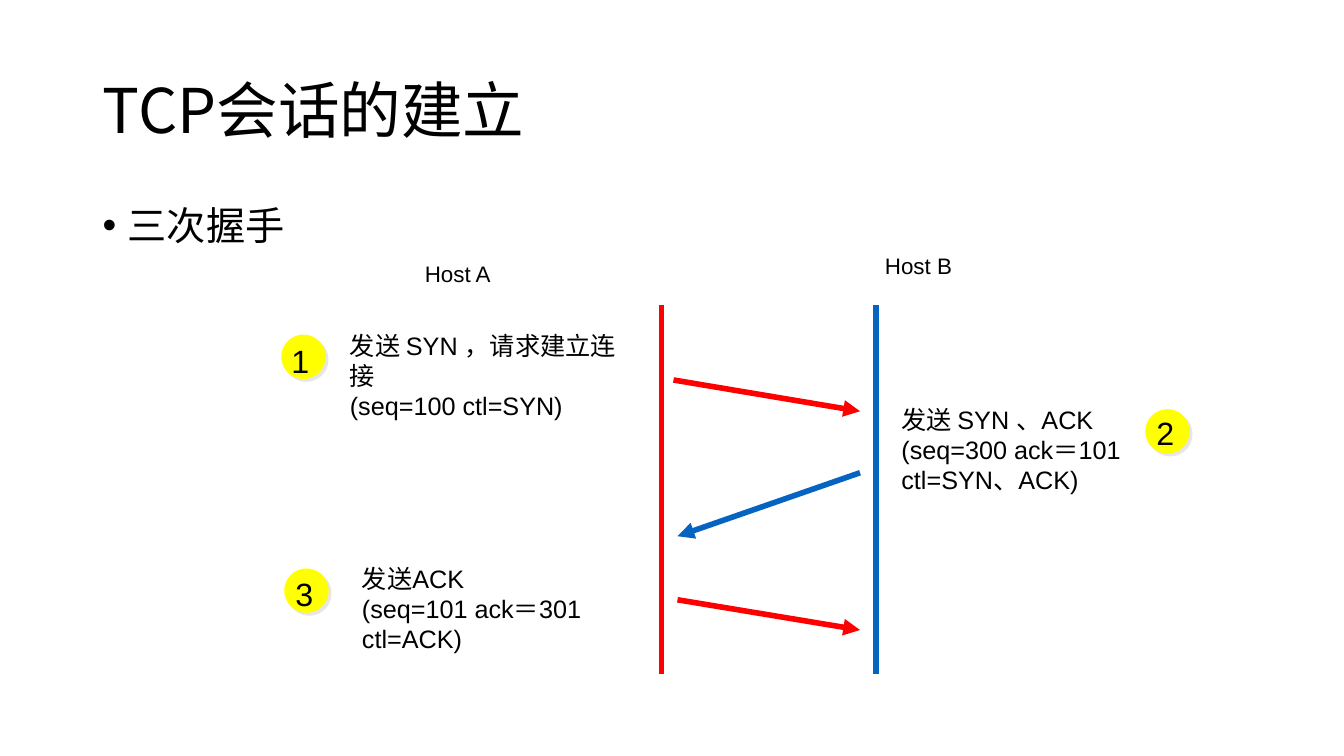
from lxml.etree import SubElement
from pptx import Presentation
from pptx.dml.color import RGBColor
from pptx.enum.shapes import MSO_CONNECTOR, MSO_SHAPE
from pptx.enum.text import MSO_ANCHOR, MSO_AUTO_SIZE, PP_ALIGN
from pptx.oxml.ns import qn
from pptx.util import Pt

PX = 9144  # 100 px to the inch
BLACK = RGBColor(0x00, 0x00, 0x00)
RED = RGBColor(0xFF, 0x00, 0x00)
BLUE = RGBColor(0x05, 0x63, 0xC1)
YELLOW = RGBColor(0xFF, 0xFF, 0x00)
SHADOW_GRAY = RGBColor(0xE7, 0xE6, 0xE6)
LATIN = "Arial"
CHINESE = "Noto Sans CJK SC"


def write_paragraph(paragraph, runs, size, **formats):
    """Fill a paragraph with (text, font name) runs and set its formats."""
    for name, value in formats.items():
        setattr(paragraph, name, value)
    for text, font_name in runs:
        run = paragraph.add_run()
        run.text = text
        run.font.size = Pt(size)
        run.font.color.rgb = BLACK
        run.font.name = font_name
        SubElement(run.font._element, qn("a:ea"), typeface=CHINESE)


def add_text_box(shapes, box, margins, wrap=False):
    """Add an empty text box and return its text frame."""
    frame = shapes.add_textbox(*(length * PX for length in box)).text_frame
    frame.word_wrap = wrap
    frame.margin_left = frame.margin_right = margins[0] * PX
    frame.margin_top = frame.margin_bottom = margins[1] * PX
    return frame


presentation = Presentation()
presentation.slide_width = 1333 * PX
presentation.slide_height = 750 * PX
slide = presentation.slides.add_slide(presentation.slide_layouts[5])
shapes = slide.shapes

# Title and bullet
title = shapes.title
title_place = {"left": 92, "top": 40, "width": 1150, "height": 145}
for name, length in title_place.items():
    setattr(title, name, length * PX)
title_format = {"vertical_anchor": MSO_ANCHOR.MIDDLE, "word_wrap": True,
                "auto_size": MSO_AUTO_SIZE.NONE}
for name, value in title_format.items():
    setattr(title.text_frame, name, value)
write_paragraph(title.text_frame.paragraphs[0], [("TCP会话的建立", CHINESE)], 44,
                alignment=PP_ALIGN.LEFT, line_spacing=0.9)

body = add_text_box(shapes, (92, 200, 1150, 476), (10, 5), wrap=True)
bullet = body.paragraphs[0]
properties = bullet._p.get_or_add_pPr()
properties.set("marL", str(25 * PX))
properties.set("indent", str(-25 * PX))
SubElement(properties, qn("a:buFont"), typeface=LATIN)
SubElement(properties, qn("a:buChar"), char="•")
write_paragraph(bullet, [("三次握手", CHINESE)], 28, line_spacing=0.9)

# Host names
for host, left, top in [("Host A", 412, 257), ("Host B", 869, 249)]:
    frame = add_text_box(shapes, (left, top, 84, 37), (2, 3))
    write_paragraph(frame.paragraphs[0], [(host, LATIN)], 16,
                    alignment=PP_ALIGN.CENTER, line_spacing=Pt(18))

# Host timelines, then the messages between them
lines = [
    ((656, 303, 656, 669), RED, False),
    ((869, 303, 869, 669), BLUE, False),
    ((668, 377, 853, 408), RED, True),
    ((853, 469, 672, 532), BLUE, True),
    ((672, 595, 853, 625), RED, True),
]
for ends, color, has_arrow in lines:
    connector = shapes.add_connector(
        MSO_CONNECTOR.STRAIGHT, *(length * PX for length in ends))
    connector.line.color.rgb = color
    connector.line.width = Pt(4)
    if has_arrow:
        SubElement(connector.line._get_or_add_ln(), qn("a:tailEnd"), type="triangle")
    SubElement(connector._element.spPr, qn("a:effectLst"))

# Descriptions of the three steps
descriptions = [
    ((345, 325, 272, 55), [
        [("发送 ", CHINESE), ("SYN ，请求建立连接", LATIN)],
        [("(seq=100 ctl=SYN)", LATIN)]]),
    ((892, 398, 272, 55), [
        [("发送 ", CHINESE), ("SYN 、ACK", LATIN)],
        [("(seq=300 ack＝101", LATIN)],
        [("ctl=SYN、ACK)", LATIN)]]),
    ((357, 556, 323, 55), [
        [("发送ACK", LATIN)],
        [("(seq=101 ack＝301", LATIN)],
        [("ctl=ACK)", LATIN)]]),
]
for box, text_lines in descriptions:
    frame = add_text_box(shapes, box, (2, 3))
    for index, runs in enumerate(text_lines):
        paragraph = frame.add_paragraph() if index else frame.paragraphs[0]
        write_paragraph(paragraph, runs, 18, line_spacing=Pt(21.4))

# Step numbers: circle corner, then label corner
badges = [((279, 332), (278, 333)), ((1136, 406), (1136, 404)), ((282, 564), (282, 564))]
for number, (circle_corner, label_corner) in enumerate(badges, start=1):
    group = shapes.add_group_shape()
    circle = group.shapes.add_shape(
        MSO_SHAPE.OVAL, *(length * PX for length in (*circle_corner, 44, 44)))
    circle.fill.solid()
    circle.fill.fore_color.rgb = YELLOW
    circle.line.fill.background()
    circle.shadow.inherit = False
    effects = circle._element.spPr.find(qn("a:effectLst"))
    shadow = SubElement(effects, qn("a:outerShdw"), dist=str(Pt(2.8)),
                        dir="2700000", algn="ctr", rotWithShape="0")
    SubElement(shadow, qn("a:srgbClr"), val=str(SHADOW_GRAY))
    label = add_text_box(group.shapes, (*label_corner, 40, 50), (11, 6))
    label.auto_size = MSO_AUTO_SIZE.SHAPE_TO_FIT_TEXT
    write_paragraph(label.paragraphs[0], [(str(number), LATIN)], 23)

presentation.save("out.pptx")
